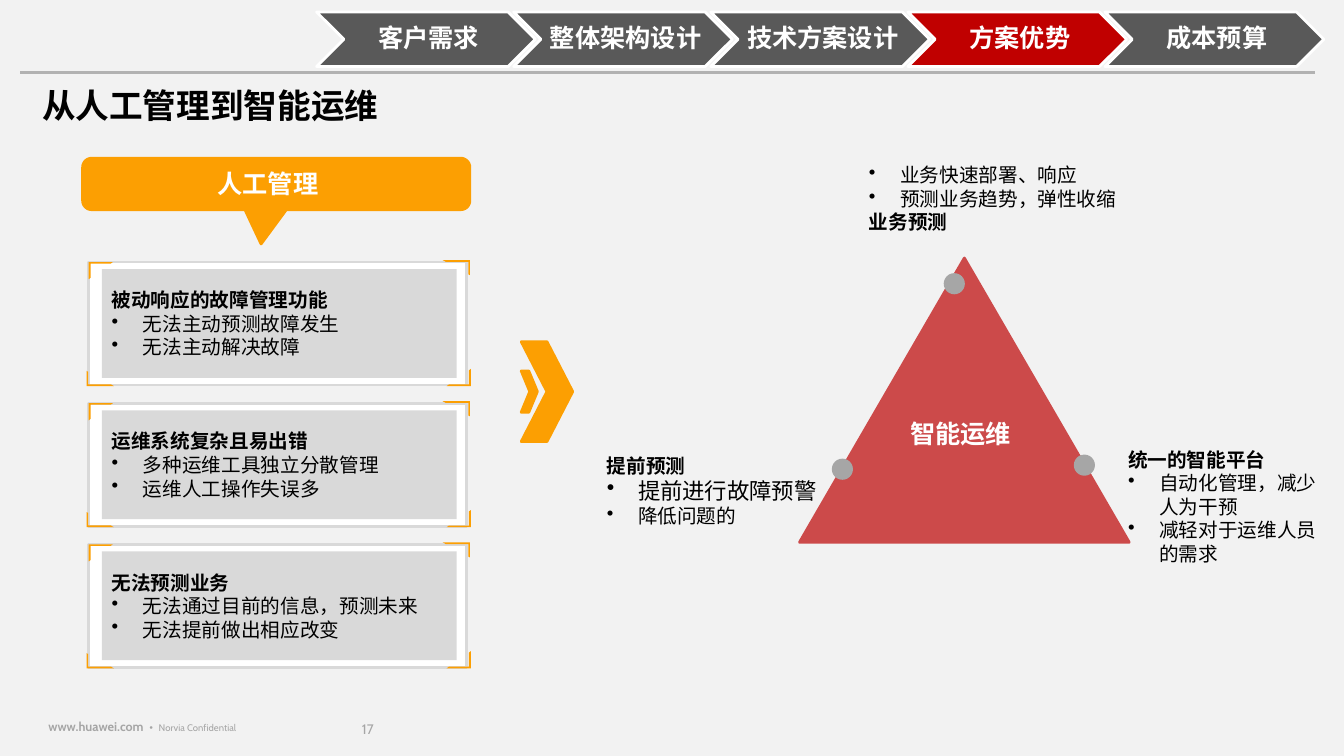
from math import cos, radians, sin

from lxml.etree import SubElement
from pptx import Presentation
from pptx.dml.color import RGBColor
from pptx.enum.shapes import MSO_CONNECTOR as LINK, MSO_SHAPE as SHAPE
from pptx.enum.text import MSO_ANCHOR as ANCHOR, MSO_AUTO_SIZE as FIT, PP_ALIGN as ALIGN
from pptx.oxml.ns import qn
from pptx.util import Inches, Pt

COLORS = {
    "page": "F2F2F2", "white": "FFFFFF", "black": "000000", "orange": "FC9F02",
    "panel": "D9D9D9", "muted": "A6A6A6", "rule": "B2B2B2", "step": "595959",
    "current": "C00000", "triangle": "CC4A4A",
}
CJK, LATIN = "Noto Sans CJK SC", "Cabin"
BODY = {"size": Pt(14), "bold": False}
HEAD = {"size": Pt(14), "bold": True}
LABEL = {"size": Pt(18), "bold": True}
TITLE = {"size": Pt(24), "bold": True}

STEPS = ["客户需求", "整体架构设计", "技术方案设计", "方案优势", "成本预算"]
CURRENT_STEP = "方案优势"
CARDS = [
    ("被动响应的故障管理功能", ["无法主动预测故障发生", "无法主动解决故障"]),
    ("运维系统复杂且易出错", ["多种运维工具独立分散管理", "运维人工操作失误多"]),
    ("无法预测业务", ["无法通过目前的信息，预测未来", "无法提前做出相应改变"]),
]
CORNERS = [
    (0, 0, 0.24, 0.17, 0),
    (3.57, -0.08, 0.15, 0.27, 90),
    (0.04, 1.02, 0.15, 0.27, 270),
    (3.55, 1.06, 0.24, 0.17, 180),
]
DOTS = [(8.25, 4.55), (9.36, 2.71), (10.65, 4.51)]


def rgb(color):
    return RGBColor.from_string(COLORS[color])


def apply(target, values):
    for name, value in values.items():
        setattr(target, name, value)


def paint(shape, fill, line=None):
    shape.shadow.inherit = False
    shape.fill.solid()
    shape.fill.fore_color.rgb = rgb(fill)
    if line:
        shape.line.color.rgb = rgb(line)
        shape.line.width = Pt(2)
    else:
        shape.line.fill.background()


def add_figure(page, kind, at, fill, line=None, adjust=(), rotation=0):
    shape = page.shapes.add_shape(kind, *map(Inches, at))
    paint(shape, fill, line)
    for index, value in enumerate(adjust):
        shape.adjustments[index] = value
    shape.rotation = rotation
    return shape


def add_bullet(para):
    props = para._p.get_or_add_pPr()
    props.set("marL", str(Inches(0.31)))
    props.set("indent", str(-Inches(0.31)))
    SubElement(props, qn("a:buChar")).set("char", "•")


def add_span(para, text, font, color="black", face=CJK):
    span = para.add_run()
    span.text = text
    span.font.name = face
    SubElement(span._r.get_or_add_rPr(), qn("a:ea")).set("typeface", face)
    apply(span.font, font)
    span.font.color.rgb = rgb(color)


def write(frame, lines, color="black"):
    for index, (text, font, bulleted) in enumerate(lines):
        para = frame.paragraphs[0] if index == 0 else frame.add_paragraph()
        para.alignment = ALIGN.LEFT
        if bulleted:
            add_bullet(para)
        add_span(para, text, font, color)


def add_text(page, at, lines, color="black", wrap=True):
    box = page.shapes.add_textbox(*map(Inches, at))
    apply(box.text_frame, {"word_wrap": wrap, "auto_size": FIT.SHAPE_TO_FIT_TEXT})
    write(box.text_frame, lines, color)


def heading(text):
    return (text, HEAD, False)


def bullets(texts):
    return [(text, BODY, True) for text in texts]


def add_steps(page):
    for index, name in enumerate(STEPS):
        fill = "current" if name == CURRENT_STEP else "step"
        left = 3.14 + 7.82 * index / (len(STEPS) - 1)
        step = add_figure(page, SHAPE.CHEVRON, (left, 0.12, 2.17, 0.54), fill, "white")
        apply(step.text_frame, {
            "word_wrap": True, "vertical_anchor": ANCHOR.MIDDLE,
            "margin_left": Inches(0.08), "margin_right": Inches(0.03),
            "margin_top": Inches(0.03), "margin_bottom": Inches(0.03),
        })
        para = step.text_frame.paragraphs[0]
        apply(para, {"alignment": ALIGN.CENTER, "line_spacing": 0.9})
        add_span(para, name, LABEL, "white")


def add_rule(page):
    rule = page.shapes.add_connector(LINK.STRAIGHT, *map(Inches, (0.2, 0.72, 13.04, 0.72)))
    rule.line.color.rgb = rgb("rule")
    rule.line.width = Pt(2.25)
    SubElement(rule._element.spPr, qn("a:effectLst"))


def arc(x, y, radius, start):
    angles = [radians(start + step) for step in range(0, 91, 10)]
    return [(x + radius * cos(angle), y + radius * sin(angle)) for angle in angles]


def add_callout(page):
    left, top, right, bottom, radius = 0.82, 1.57, 4.66, 2.08, 0.09
    west, east, north, south = left + radius, right - radius, top + radius, bottom - radius
    outline = arc(west, north, radius, 180) + arc(east, north, radius, 270)
    outline += arc(east, south, radius, 0)
    outline += [(2.84, bottom), (2.59, 2.42), (2.43, bottom)]
    outline += arc(west, south, radius, 90)
    points = [(Inches(x), Inches(y)) for x, y in outline]
    builder = page.shapes.build_freeform(*points[0])
    builder.add_line_segments(points[1:], close=True)
    paint(builder.convert_to_shape(), "orange", "orange")
    add_text(page, (2.06, 1.62, 2.33, 0.4), [("人工管理", LABEL, False)], "white")


def add_card(page, top, title, items):
    left = 0.88
    add_figure(page, SHAPE.RECTANGLE, (left, top, 3.75, 1.22), "white", "panel")
    for x, y, width, height, rotation in CORNERS:
        add_figure(page, SHAPE.HALF_FRAME, (left + x, top + y, width, height), "orange",
                   adjust=(0.093, 0.113), rotation=rotation)
    panel = add_figure(page, SHAPE.RECTANGLE, (left + 0.13, top + 0.07, 3.52, 1.08), "panel")
    apply(panel.text_frame, {"word_wrap": True, "vertical_anchor": ANCHOR.MIDDLE})
    write(panel.text_frame, [heading(title)] + bullets(items))


def add_triangle(page):
    add_figure(page, SHAPE.ISOSCELES_TRIANGLE, (7.93, 2.56, 3.27, 2.82), "triangle", "triangle")
    for left, top in DOTS:
        add_figure(page, SHAPE.OVAL, (left, top, 0.21, 0.21), "muted")
    add_text(page, (8.93, 4.1, 1.23, 0.4), [("智能运维", LABEL, False)], "white")
    add_text(page, (8.52, 1.57, 2.68, 0.81),
             bullets(["业务快速部署、响应", "预测业务趋势，弹性收缩"]) + [heading("业务预测")],
             wrap=False)
    add_text(page, (11.09, 4.39, 2.14, 1.51),
             [heading("统一的智能平台")]
             + bullets(["自动化管理，减少人为干预", "减轻对于运维人员的需求"]))
    add_text(page, (5.92, 4.45, 2.44, 0.84),
             [heading("提前预测"), ("提前进行故障预警", {"size": Pt(16), "bold": False}, True)]
             + bullets(["降低问题的"]))


def add_footer(page, at, spans, frame_values):
    box = page.shapes.add_textbox(*map(Inches, at))
    apply(box.text_frame, {"vertical_anchor": ANCHOR.MIDDLE, **frame_values})
    for text, font in spans:
        add_span(box.text_frame.paragraphs[0], text, font, "muted", LATIN)


def main():
    deck = Presentation()
    apply(deck, {"slide_width": Inches(13.33), "slide_height": Inches(7.5)})
    page = deck.slides.add_slide(deck.slide_layouts[6])
    page.background.fill.solid()
    page.background.fill.fore_color.rgb = rgb("page")
    add_footer(page, (3.59, 7.13, 0.4, 0.21), [("17", {"size": Pt(9.8)})],
               {"word_wrap": True, "margin_left": 0, "margin_right": 0,
                "margin_top": 0, "margin_bottom": 0})
    add_footer(page, (0.41, 7.09, 2.09, 0.23),
               [("www.huawei.com  •  ", {"size": Pt(9), "bold": True}),
                ("Norvia Confidential", {"size": Pt(6.8), "bold": False})],
               {"word_wrap": False, "margin_left": Inches(0.07), "margin_right": Inches(0.07),
                "margin_top": Inches(0.04), "margin_bottom": Inches(0.04)})
    add_callout(page)
    for index, (title, items) in enumerate(CARDS):
        add_card(page, 2.6 + 1.4 * index, title, items)
    add_figure(page, SHAPE.CHEVRON, (5.17, 3.39, 0.51, 0.99), "orange", "orange")
    add_figure(page, SHAPE.CHEVRON, (5.17, 3.68, 0.16, 0.41), "orange", "orange", (0.53,))
    add_triangle(page)
    add_steps(page)
    add_rule(page)
    add_text(page, (0.32, 0.79, 4.34, 0.5), [("从人工管理到智能运维", TITLE, False)])
    deck.save("out.pptx")


if __name__ == "__main__":
    main()
